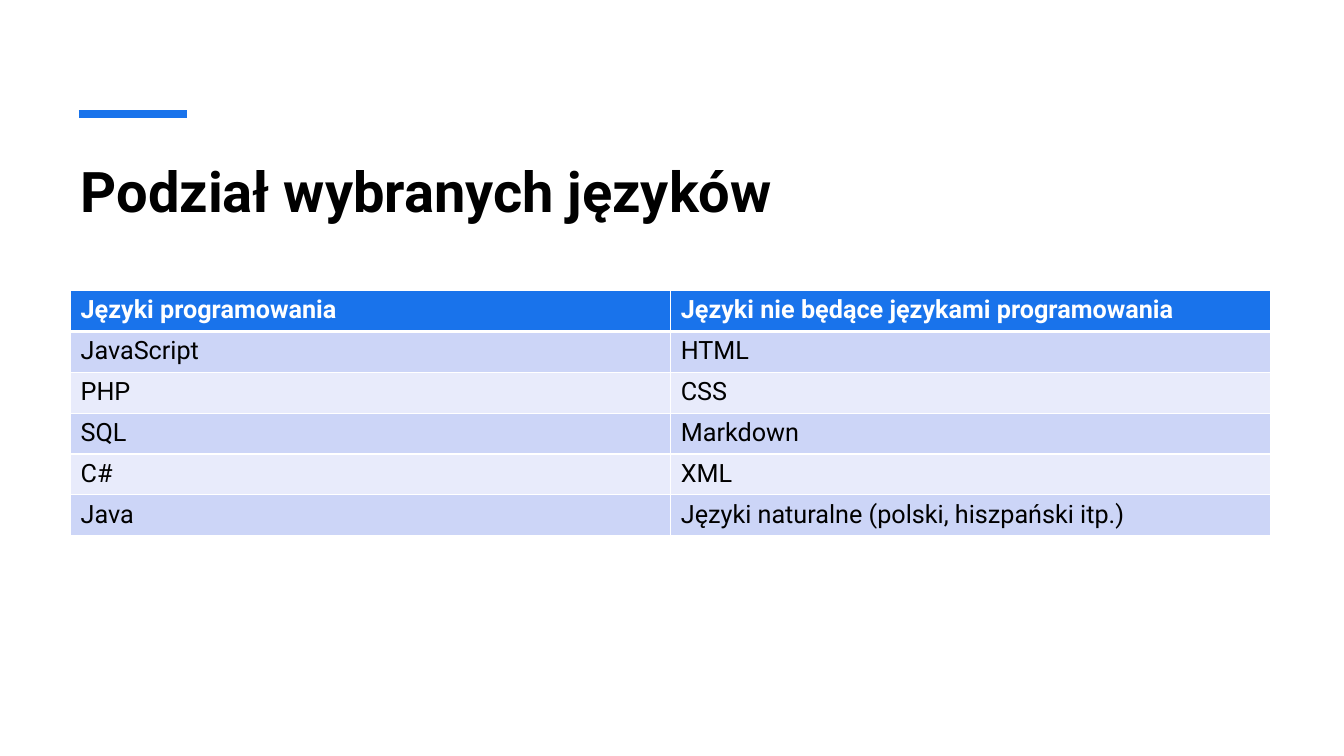
import pptx
import pptx.dml.color
import pptx.enum.shapes
import pptx.enum.text
import pptx.oxml
import pptx.oxml.ns
import pptx.util

Pt = pptx.util.Pt
FONT = "Roboto"
COLORS = {
    "accent": "1973EB",
    "band_dark": "CCD5F7",
    "band_light": "E8EBFB",
    "text": "000000",
    "white": "FFFFFF",
}
LEFT, WIDTH = 50.4, 857.5
ROW_HEIGHT = 29.2
ROWS = [
    ("Języki programowania", "Języki nie będące językami programowania"),
    ("JavaScript", "HTML"),
    ("PHP", "CSS"),
    ("SQL", "Markdown"),
    ("C#", "XML"),
    ("Java", "Języki naturalne (polski, hiszpański itp.)"),
]


def add_text(text_frame, text, size, color, bold):
    run = text_frame.paragraphs[0].add_run()
    run.text = text
    run.font.name = FONT
    run.font.size = Pt(size)
    run.font.bold = bold
    run.font.color.rgb = pptx.dml.color.RGBColor.from_string(COLORS[color])


def add_border(cell, side, width):
    border = pptx.oxml.parse_xml(
        f'<a:{side} {pptx.oxml.ns.nsdecls("a")} w="{Pt(width)}"><a:solidFill>'
        f'<a:srgbClr val="{COLORS["white"]}"/></a:solidFill></a:{side}>'
    )
    cell._tc.get_or_add_tcPr().append(border)


presentation = pptx.Presentation()
presentation.slide_width = Pt(960)
presentation.slide_height = Pt(540)
slide = presentation.slides.add_slide(presentation.slide_layouts[5])

# Accent line
accent_line = slide.shapes.add_connector(
    pptx.enum.shapes.MSO_CONNECTOR.STRAIGHT, Pt(56.4), Pt(81.4), Pt(133.4), Pt(81.4)
)
accent_line.line.width = Pt(6)
accent_line.line.color.rgb = pptx.dml.color.RGBColor.from_string(COLORS["accent"])
accent_line._element.spPr.append(
    pptx.oxml.parse_xml(f'<a:effectLst {pptx.oxml.ns.nsdecls("a")}/>')
)

# Title
title = slide.shapes.title
title.left, title.top, title.width, title.height = Pt(LEFT), Pt(108), Pt(WIDTH), Pt(86.4)
title.text_frame.vertical_anchor = pptx.enum.text.MSO_ANCHOR.TOP
title.text_frame.paragraphs[0].alignment = pptx.enum.text.PP_ALIGN.LEFT
add_text(title.text_frame, "Podział wybranych języków", 40, "text", True)

# Table of languages
table = slide.shapes.add_table(
    len(ROWS), 2, Pt(LEFT), Pt(207.5), Pt(WIDTH), Pt(ROW_HEIGHT * len(ROWS))
).table
for row_index, texts in enumerate(ROWS):
    table.rows[row_index].height = Pt(ROW_HEIGHT)
    is_header = row_index == 0
    if is_header:
        fill_color = "accent"
    else:
        fill_color = "band_dark" if row_index % 2 else "band_light"
    for column_index, text in enumerate(texts):
        cell = table.cell(row_index, column_index)
        add_text(cell.text_frame, text, 18, "white" if is_header else "text", is_header)
        # Borders precede the fill in the cell properties
        for side in ("lnL", "lnR", "lnT", "lnB"):
            thick = (is_header and side == "lnB") or (row_index == 1 and side == "lnT")
            add_border(cell, side, 3 if thick else 1)
        cell.fill.solid()
        cell.fill.fore_color.rgb = pptx.dml.color.RGBColor.from_string(COLORS[fill_color])

presentation.save("out.pptx")
